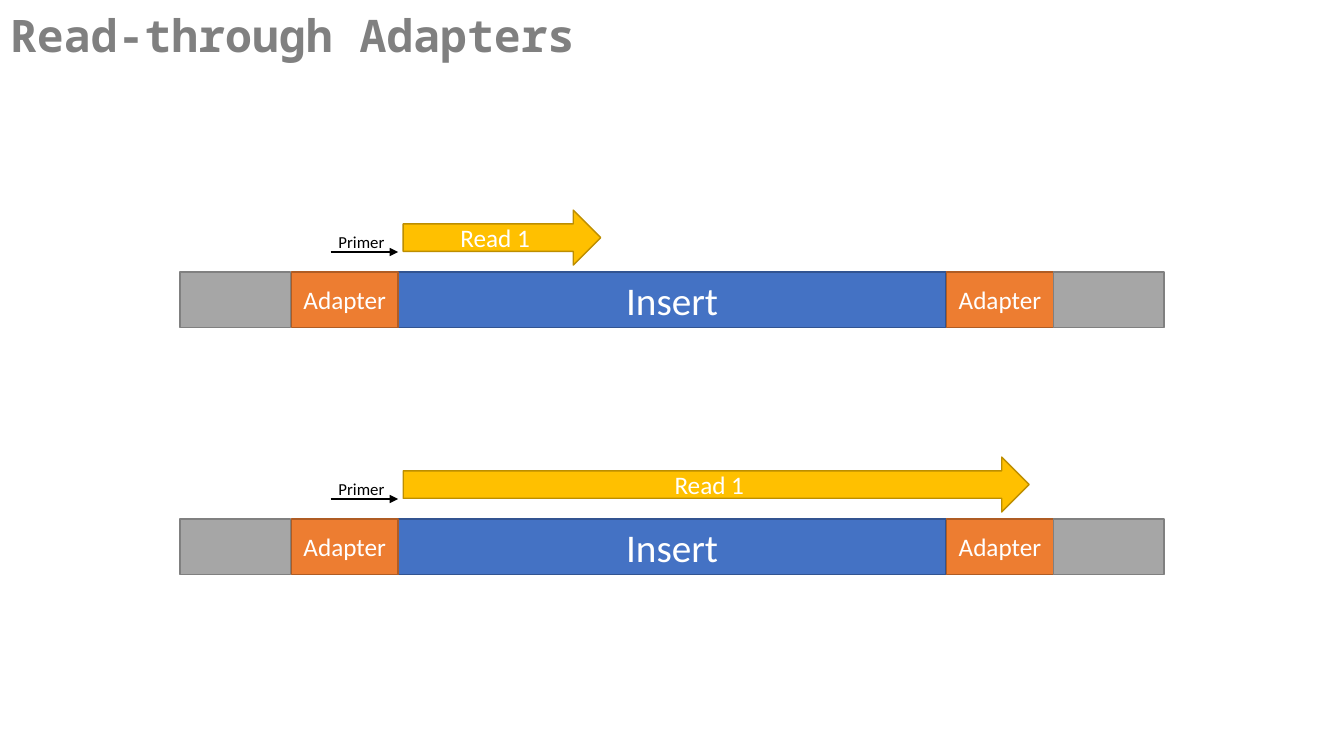
import dataclasses
import typing

import lxml.etree
import pptx
import pptx.dml.color
import pptx.enum.shapes
import pptx.enum.text
import pptx.oxml.ns
import pptx.shapes.connector
import pptx.util

SHAPE = pptx.enum.shapes.MSO_SHAPE
ALIGN = pptx.enum.text.PP_ALIGN
ANCHOR = pptx.enum.text.MSO_ANCHOR
FIT = pptx.enum.text.MSO_AUTO_SIZE

# Grid of tenths of an inch
CELL = 0.1
COLS, ROWS = 133.33, 75
BAR_H = 5.5


@dataclasses.dataclass(frozen=True)
class Part:
    text: str
    col: float
    wide: float
    fill: str
    edge: str
    size: int = 18


@dataclasses.dataclass(frozen=True)
class Case:
    row: float
    reach: float


INSERT = Part("Insert", 39.5, 54.35, "4472C4", "325491", 28)
LEFT = Part("Adapter", 28.9, 10.6, "ED7D31", "AF5C24")
RIGHT = dataclasses.replace(LEFT, col=93.9)
START = Part("", 17.85, 11, "A6A6A6", "808080")
END = dataclasses.replace(START, col=104.5)
PARTS = (INSERT, LEFT, START, RIGHT, END)
CASES = (Case(27, 19.6), Case(51.5, 62.1))


def grid(*cells: float) -> list[pptx.util.Length]:
    return [pptx.util.Inches(cell * CELL) for cell in cells]


def tint(code: str) -> pptx.dml.color.RGBColor:
    return pptx.dml.color.RGBColor.from_string(code)


def apply(item: typing.Any, form: dict[str, typing.Any]) -> None:
    for name, value in form.items():
        setattr(item, name, value)


def write(shape: typing.Any, text: str, size: int, color: str,
          face: str = "Calibri", bold: bool = False,
          align: typing.Any = ALIGN.CENTER, space: float = 1) -> None:
    line = shape.text_frame.paragraphs[0]
    apply(line, {"alignment": align, "line_spacing": space})
    run = line.add_run()
    run.text = text
    apply(run.font, {"name": face, "size": pptx.util.Pt(size), "bold": bold})
    run.font.color.rgb = tint(color)


def block(group: typing.Any, part: Part, row: float, high: float,
          kind: typing.Any = SHAPE.RECTANGLE) -> None:
    shape = group.shapes.add_shape(kind, *grid(part.col, row, part.wide, high))
    shape.shadow.inherit = False
    shape.fill.solid()
    shape.fill.fore_color.rgb = tint(part.fill)
    shape.line.color.rgb = tint(part.edge)
    shape.line.width = pptx.util.Pt(1)
    shape.text_frame.vertical_anchor = ANCHOR.MIDDLE
    if part.text:
        write(shape, part.text, part.size, "FFFFFF")


def primer(group: typing.Any, row: float) -> None:
    # Arrow up to the start of the insert
    arrow = group.shapes.add_connector(
        pptx.enum.shapes.MSO_CONNECTOR.STRAIGHT,
        *grid(32.8, row - 2, INSERT.col, row - 2))
    arrow.line.color.rgb = tint("000000")
    arrow.line.width = pptx.util.Pt(2)
    tail = lxml.etree.SubElement(arrow.line._get_or_add_ln(),
                                 pptx.oxml.ns.qn("a:tailEnd"))
    tail.set("type", "triangle")
    lxml.etree.SubElement(arrow._element.spPr, pptx.oxml.ns.qn("a:effectLst"))

    # Label above the arrow
    label = group.shapes.add_textbox(*grid(32.6, row - 4.5, 6.6, 3))
    apply(label.text_frame, {"word_wrap": False,
                             "auto_size": FIT.SHAPE_TO_FIT_TEXT})
    write(label, "Primer", 12, "000000", align=ALIGN.LEFT)


def draw(slide: typing.Any, case: Case) -> None:
    group = slide.shapes.add_group_shape()
    for part in PARTS:
        block(group, part, case.row, BAR_H)
    primer(group, case.row)
    read = Part("Read 1", 40, case.reach, "FFC000", "BD8E00")
    block(group, read, case.row - 6.15, 5.45, SHAPE.RIGHT_ARROW)


def head(slide: typing.Any) -> None:
    title = slide.shapes.title
    left, top, width, height = grid(0, 0.9, 131.6, 13.7)
    apply(title, {"left": left, "top": top, "width": width, "height": height})
    apply(title.text_frame, {"word_wrap": True, "auto_size": FIT.NONE,
                             "vertical_anchor": ANCHOR.TOP})
    write(title, "Read-through Adapters", 32, "808080", "Noto Sans Mono",
          True, ALIGN.LEFT, 0.9)


def main() -> None:
    deck = pptx.Presentation()
    deck.slide_width, deck.slide_height = grid(COLS, ROWS)
    slide = deck.slides.add_slide(deck.slide_layouts[5])
    for case in CASES:
        draw(slide, case)
    head(slide)
    deck.save("out.pptx")


if __name__ == "__main__":
    main()
